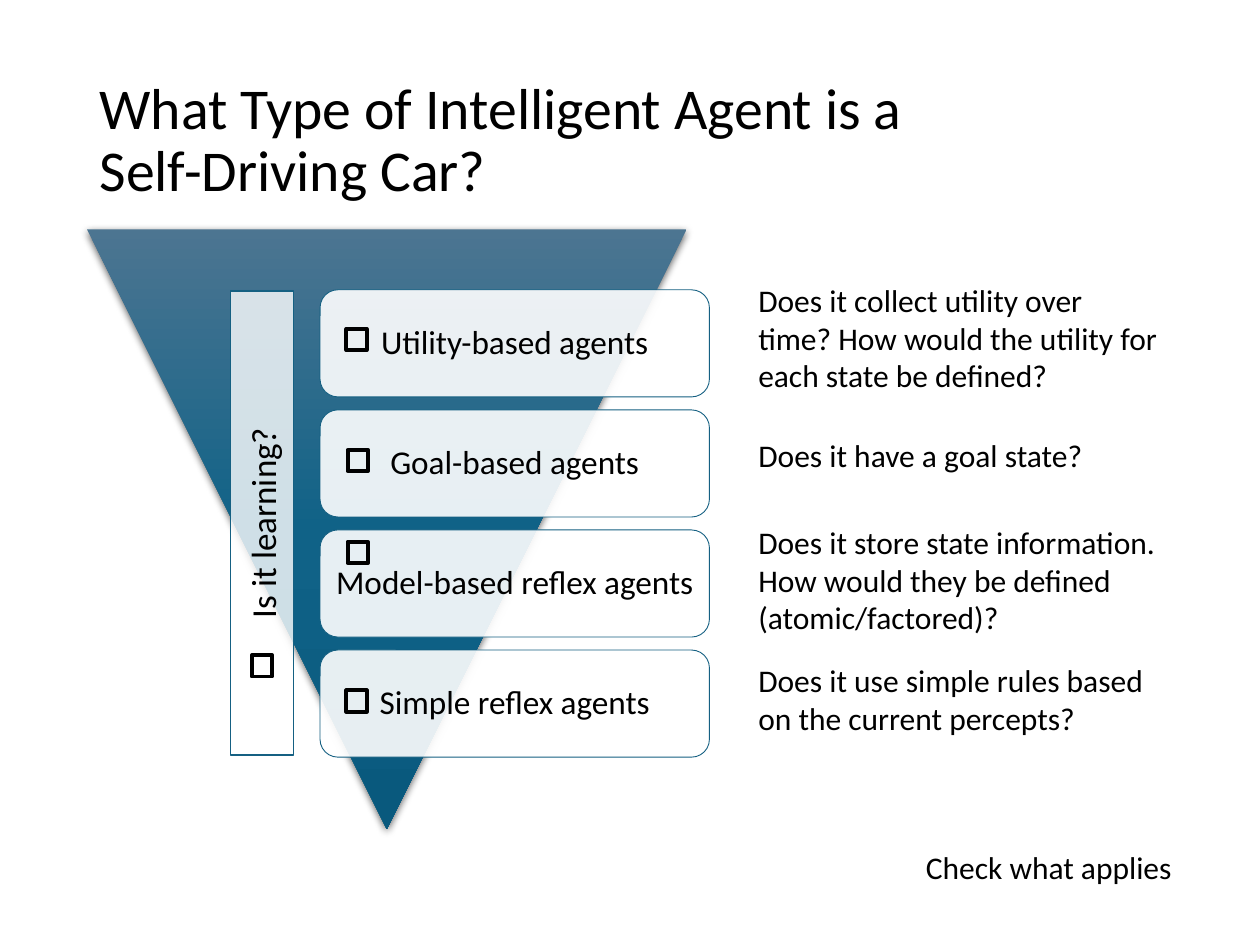
from lxml.etree import SubElement
from pptx import Presentation
from pptx.dml.color import RGBColor
from pptx.enum.shapes import MSO_SHAPE as Shape
from pptx.enum.text import MSO_ANCHOR as Anchor, MSO_AUTO_SIZE as AutoSize, PP_ALIGN as Align
from pptx.oxml import parse_xml
from pptx.oxml.ns import nsdecls, qn
from pptx.util import Emu, Inches, Pt

COLORS = {
    "ink": "000000",
    "paper": "FFFFFF",
    "edge": "156082",
    "top": "4C7591",
    "middle": "106287",
    "bottom": "09597D",
}
COLUMNS, ROWS = 100, 75


class AgentSlide:
    font = "Calibri"

    def __init__(self, deck):
        self.page = deck.slides.add_slide(deck.slide_layouts[5])
        self.column = deck.slide_width / COLUMNS
        self.row = deck.slide_height / ROWS

    def place(self, left, top, width, height):
        return (Emu(round(left * self.column)), Emu(round(top * self.row)),
                Emu(round(width * self.column)), Emu(round(height * self.row)))

    def color(self, name):
        return RGBColor.from_string(COLORS[name])

    def set_text(self, box, text, size, align=Align.LEFT, anchor=Anchor.TOP, spacing=1.0):
        frame = box.text_frame
        frame.word_wrap = True
        frame.vertical_anchor = anchor
        frame.text = text
        para = frame.paragraphs[0]
        para.alignment = align
        para.line_spacing = spacing
        para.font.name = self.font
        para.font.size = Pt(size)
        para.font.color.rgb = self.color("ink")
        return frame

    def title(self, text, *area):
        box = self.page.shapes.title
        box.left, box.top, box.width, box.height = self.place(*area)
        frame = self.set_text(box, text, 33, anchor=Anchor.MIDDLE, spacing=0.9)
        frame.auto_size = AutoSize.NONE

    def note(self, text, *area):
        box = self.page.shapes.add_textbox(*self.place(*area))
        self.set_text(box, text, 18).auto_size = AutoSize.SHAPE_TO_FIT_TEXT

    def outline(self, kind, area, line, weight, opacity=None):
        box = self.page.shapes.add_shape(kind, *self.place(*area))
        box.shadow.inherit = False
        box.line.color.rgb = self.color(line)
        box.line.width = Pt(weight)
        if opacity is None:
            box.fill.background()
        else:
            box.fill.solid()
            box.fill.fore_color.rgb = self.color("paper")
            tint = box._element.spPr.find(qn("a:solidFill"))[0]
            SubElement(tint, qn("a:alpha"), val=str(opacity * 1000))
        return box

    def card(self, text, *area):
        box = self.outline(Shape.ROUNDED_RECTANGLE, area, "edge", 0.5, 90)
        frame = self.set_text(box, text, 19, Align.CENTER, Anchor.MIDDLE, 0.9)
        frame.margin_left = frame.margin_right = Inches(0.05)

    def side_label(self, text, *area):
        box = self.outline(Shape.RECTANGLE, area, "edge", 1, 80)
        box.rotation = 270
        self.set_text(box, text, 20, Align.CENTER, Anchor.MIDDLE)

    def checkbox(self, left, top):
        self.outline(Shape.RECTANGLE, (left, top, 1.6, 1.7), "ink", 2.25)

    def funnel(self, *area):
        box = self.page.shapes.add_shape(Shape.ISOSCELES_TRIANGLE, *self.place(*area))
        box.rotation = 180
        box.line.fill.background()
        box.shadow.inherit = False
        stops = "".join(
            f'<a:gs pos="{share * 1000}"><a:srgbClr val="{COLORS[name]}"/></a:gs>'
            for share, name in ((0, "top"), (50, "middle"), (100, "bottom")))
        properties = box._element.spPr
        properties.find(qn("a:prstGeom")).addnext(parse_xml(
            f'<a:gradFill {nsdecls("a")} rotWithShape="0"><a:gsLst>{stops}</a:gsLst>'
            '<a:lin ang="5400000" scaled="0"/></a:gradFill>'))
        properties.find(qn("a:effectLst")).append(parse_xml(
            f'<a:outerShdw {nsdecls("a")} blurRad="{Pt(4.5)}" dist="{Pt(1.5)}" '
            f'dir="5400000" rotWithShape="0"><a:srgbClr val="{COLORS["ink"]}">'
            '<a:alpha val="63000"/></a:srgbClr></a:outerShdw>'))


def main():
    deck = Presentation()
    deck.slide_width, deck.slide_height = Inches(10), Inches(7.5)
    slide = AgentSlide(deck)

    slide.title("What Type of Intelligent Agent is a \vSelf-Driving Car?", 6.9, 4, 86.2, 14.5)
    slide.funnel(6.9, 18.2, 47.6, 47.6)

    agents = ("Utility-based agents", "Goal-based agents",
              "Model-based reflex agents", "Simple reflex agents")
    for index, agent in enumerate(agents):
        slide.card(agent, 25.4, 23 + 9.53 * index, 30.9, 8.5)

    questions = (
        ("Does it collect utility over time? How would the utility for each state be defined?",
         21.8, 34, 10.1),
        ("Does it have a goal state?", 34.1, 30.8, 4),
        ("Does it store state information. How would they be defined (atomic/factored)?",
         41, 35, 10.1),
        ("Does it use simple rules based on the current percepts?", 52, 35, 7.1),
    )
    for question, top, width, height in questions:
        slide.note(question, 59.2, top, width, height)

    slide.side_label("Is it learning?", 2.4, 39, 36.8, 5)
    slide.note("Check what applies", 72.5, 66.8, 24.2, 4)

    for left, top in ((27.5, 26.1), (27.6, 35.7), (27.5, 54.8), (27.6, 43), (20, 52)):
        slide.checkbox(left, top)

    deck.save("out.pptx")


if __name__ == "__main__":
    main()
